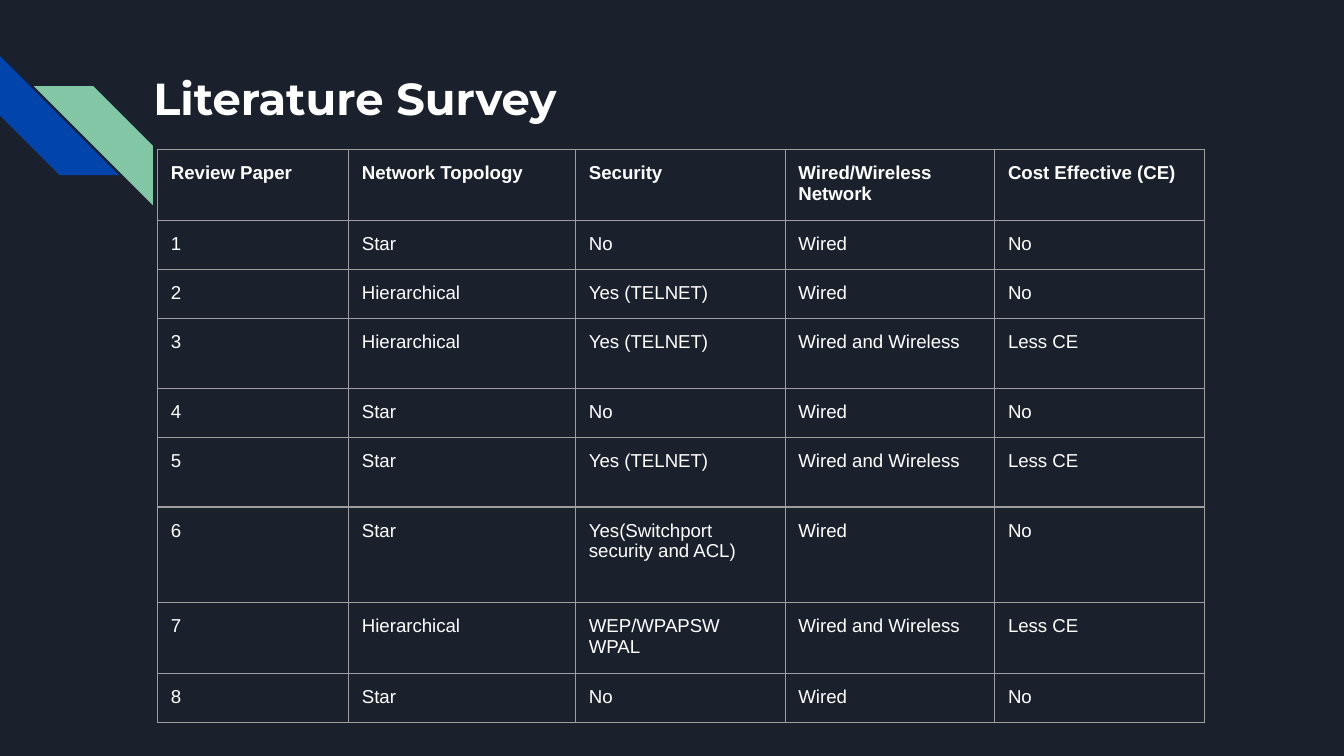
"""Build the Literature Survey slide with its comparison table."""
from lxml.etree import SubElement
from pptx import Presentation
from pptx.dml.color import RGBColor
from pptx.enum.shapes import MSO_SHAPE as Shape
from pptx.enum.text import MSO_ANCHOR as Anchor
from pptx.oxml.ns import qn
from pptx.util import Cm, Pt

NAVY = RGBColor(0x1B, 0x21, 0x2C)
BLUE = RGBColor(0x01, 0x45, 0xAC)
GREEN = RGBColor(0x82, 0xC7, 0xA5)
WHITE = RGBColor(0xFF, 0xFF, 0xFF)
GREY = RGBColor(0x9E, 0x9E, 0x9E)

TITLE_FONT = {"name": "Montserrat", "size": Pt(24), "bold": True}
HEADER_FONT = {"name": "Arial", "size": Pt(10), "bold": True}
BODY_FONT = {**HEADER_FONT, "bold": False}
MARGINS = {f"margin_{side}": Cm(0.25) for side in ("left", "top", "right", "bottom")}

SHORT, TALL, TALLEST = 0.9, 1.32, 1.8
COLUMN_WIDTHS = [3.61, 4.29, 3.96, 3.96, 3.96]
ROWS = [
    (TALL, ["Review Paper", "Network Topology", "Security",
            "Wired/Wireless Network", "Cost Effective (CE)"]),
    (SHORT, ["1", "Star", "No", "Wired", "No"]),
    (SHORT, ["2", "Hierarchical", "Yes (TELNET)", "Wired", "No"]),
    (TALL, ["3", "Hierarchical", "Yes (TELNET)", "Wired and Wireless", "Less CE"]),
    (SHORT, ["4", "Star", "No", "Wired", "No"]),
    (TALL, ["5", "Star", "Yes (TELNET)", "Wired and Wireless", "Less CE"]),
    (TALLEST, ["6", "Star", "Yes(Switchport security and ACL)", "Wired", "No"]),
    (TALL, ["7", "Hierarchical", "WEP/WPAPSW WPAL", "Wired and Wireless", "Less CE"]),
    (SHORT, ["8", "Star", "No", "Wired", "No"]),
]


def write_text(text_frame, text, font_format):
    paragraph = text_frame.paragraphs[0]
    run = paragraph.add_run()
    run.text = text
    run.font.color.rgb = WHITE
    for name, value in font_format.items():
        setattr(run.font, name, value)


def add_borders(cell):
    properties = cell._tc.get_or_add_tcPr()
    for side in ("lnL", "lnR", "lnT", "lnB"):
        line = SubElement(properties, qn(f"a:{side}"), w=str(Pt(0.75)))
        fill = SubElement(line, qn("a:solidFill"))
        SubElement(fill, qn("a:srgbClr"), val=str(GREY))


presentation = Presentation()
presentation.slide_width = Cm(25.4)
presentation.slide_height = Cm(14.29)
slide = presentation.slides.add_slide(presentation.slide_layouts[6])
slide.background.fill.solid()
slide.background.fill.fore_color.rgb = NAVY

for left, top, color, transform in (
    (0, 1.06, BLUE, {"rot": str(270 * 60000)}),
    (0.64, 1.63, GREEN, {"flipH": "1"}),
):
    stripe = slide.shapes.add_shape(
        Shape.DIAGONAL_STRIPE, Cm(left), Cm(top), Cm(2.25), Cm(2.25))
    stripe.shadow.inherit = False
    stripe.fill.solid()
    stripe.fill.fore_color.rgb = color
    stripe.line.fill.background()
    for name, value in transform.items():
        stripe._element.spPr.xfrm.set(name, value)

title = slide.shapes.add_textbox(Cm(2.65), Cm(1.09), Cm(19.56), Cm(2.54))
for name, value in {**MARGINS, "word_wrap": True, "vertical_anchor": Anchor.TOP}.items():
    setattr(title.text_frame, name, value)
write_text(title.text_frame, "Literature Survey", TITLE_FONT)

table = slide.shapes.add_table(
    len(ROWS), len(COLUMN_WIDTHS), Cm(2.98), Cm(2.82),
    Cm(sum(COLUMN_WIDTHS)), Cm(sum(height for height, _ in ROWS))).table
table.first_row = False
table.horz_banding = False
for column, width in zip(table.columns, COLUMN_WIDTHS):
    column.width = Cm(width)

for row_index, (height, texts) in enumerate(ROWS):
    row = table.rows[row_index]
    row.height = Cm(height)
    for cell, text in zip(row.cells, texts):
        for name, value in MARGINS.items():
            setattr(cell, name, value)
        add_borders(cell)
        cell.fill.background()
        write_text(cell.text_frame, text, BODY_FONT if row_index else HEADER_FONT)

presentation.save("out.pptx")
